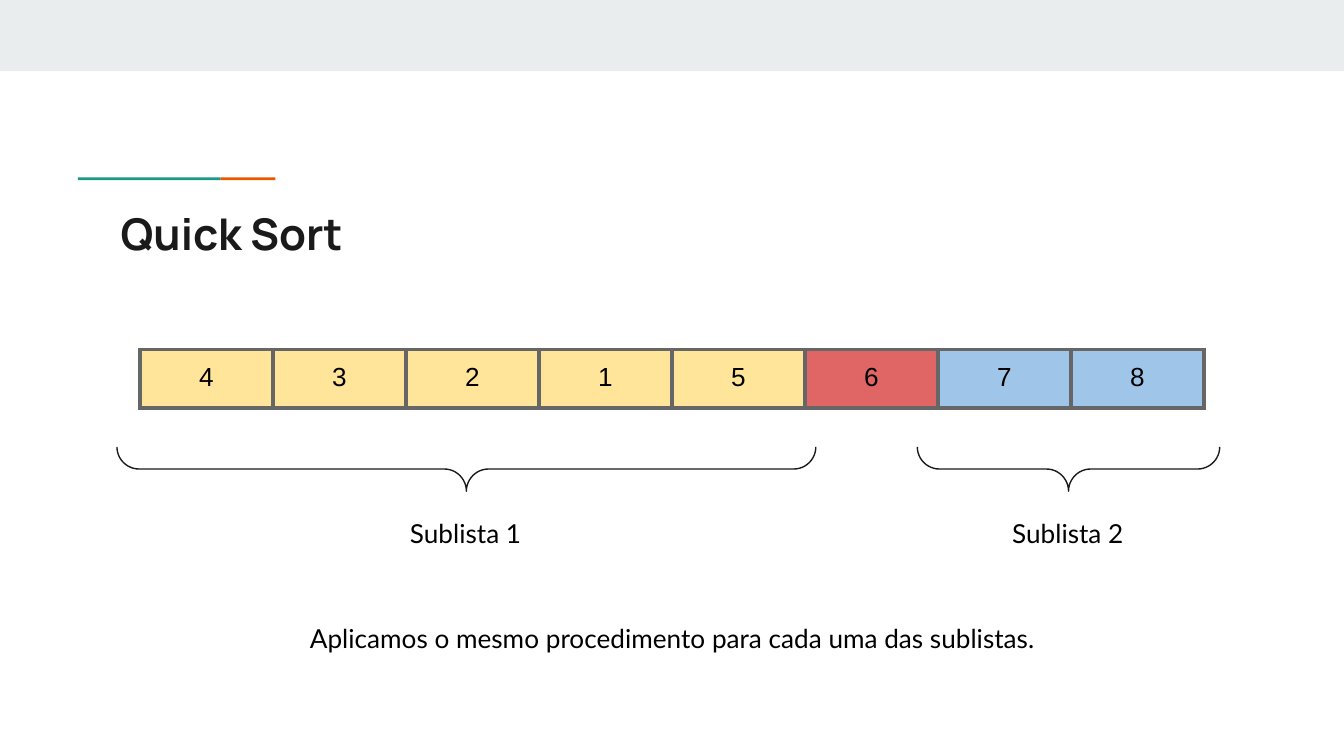
import pptx
import pptx.util
import pptx.dml.color
import pptx.enum.shapes
import pptx.enum.text
import pptx.oxml
import pptx.oxml.ns

Inches, Pt = pptx.util.Inches, pptx.util.Pt
RGB = pptx.dml.color.RGBColor
KIND = pptx.enum.shapes.MSO_SHAPE
ALIGN = pptx.enum.text.PP_ALIGN

BLACK, INK = RGB(0, 0, 0), RGB(0x1A, 0x1A, 0x1A)
GRAY, EDGE = RGB(0xE9, 0xED, 0xEE), RGB(0x66, 0x66, 0x66)
ORANGE, GREEN = RGB(0xEB, 0x56, 0x00), RGB(0x1A, 0x99, 0x88)
YELLOW, RED, BLUE = RGB(0xFF, 0xE5, 0x99), RGB(0xE0, 0x66, 0x66), RGB(0x9F, 0xC5, 0xE8)

BARS = [(0, 0, 10, 0.53, GRAY), (1.64, 1.32, 0.41, 0.02, ORANGE), (0.58, 1.32, 1.06, 0.02, GREEN)]
BODY = {"size": Pt(14), "name": "Lato", "bold": False}
HEAD = {"size": Pt(23.4), "name": "Manrope", "bold": True}
CELL = {"size": Pt(14), "name": "Arial", "bold": False}
TEXTS = [
    ("Quick Sort", (0.8, 1.44, 8.41, 0.59), HEAD, INK, ALIGN.LEFT),
    ("Aplicamos o mesmo procedimento para cada uma das sublistas.",
     (1.1, 4.53, 7.81, 0.44), BODY, BLACK, ALIGN.CENTER),
]
ITEMS = [(4, YELLOW), (3, YELLOW), (2, YELLOW), (1, YELLOW), (5, YELLOW),
         (6, RED), (7, BLUE), (8, BLUE)]
# name, centre, span
PARTS = [("Sublista 1", 3.47, 5.2), ("Sublista 2", 7.95, 2.25)]
COL, ROW = 0.99, 0.41
MID, DEPTH = 3.49, 0.33
SIDES = ("left", "right", "top", "bottom")


def inch(*nums):
    return [Inches(n) for n in nums]


def pad(thing):
    for side in SIDES:
        setattr(thing, "margin_" + side, Inches(0.1))


def write(frame, text, font, color, align):
    para = frame.paragraphs[0]
    para.alignment = align
    run = para.add_run()
    run.text = text
    for key, val in font.items():
        setattr(run.font, key, val)
    run.font.color.rgb = color


def label(text, box, font, color, align):
    frame = slide.shapes.add_textbox(*inch(*box)).text_frame
    frame.word_wrap = True
    pad(frame)
    write(frame, text, font, color, align)


def border(cell):
    props = cell._tc.get_or_add_tcPr()
    for spot, side in enumerate(("lnL", "lnR", "lnT", "lnB")):
        props.insert(spot, pptx.oxml.parse_xml(
            f'<a:{side} {pptx.oxml.ns.nsdecls("a")} w="{Pt(2.25)}">'
            f'<a:solidFill><a:srgbClr val="{EDGE}"/></a:solidFill></a:{side}>'))


deck = pptx.Presentation()
deck.slide_width = Inches(10)
deck.slide_height = deck.slide_width * 9 // 16
slide = deck.slides.add_slide(deck.slide_layouts[6])

for *box, color in BARS:
    bar = slide.shapes.add_shape(KIND.RECTANGLE, *inch(*box))
    bar.shadow.inherit = False
    bar.fill.solid()
    bar.fill.fore_color.rgb = color
    bar.line.fill.background()

for entry in TEXTS:
    label(*entry)

table = slide.shapes.add_table(1, len(ITEMS), *inch(1.04, 2.6, COL * len(ITEMS), ROW)).table
table.first_row = table.horz_banding = False
for spot, (value, color) in enumerate(ITEMS):
    table.columns[spot].width = Inches(COL)
    cell = table.cell(0, spot)
    pad(cell)
    write(cell.text_frame, str(value), CELL, BLACK, ALIGN.CENTER)
    cell.fill.solid()
    cell.fill.fore_color.rgb = color
    border(cell)

for name, center, span in PARTS:
    brace = slide.shapes.add_shape(
        KIND.RIGHT_BRACE, *inch(center - DEPTH / 2, MID - span / 2, DEPTH, span))
    brace.rotation = 90
    brace.adjustments[0] = brace.adjustments[1] = 0.5
    brace.shadow.inherit = False
    brace.fill.background()
    brace.line.color.rgb = INK
    brace.line.width = Pt(0.75)
    label(name, (center - 0.56, 3.75, 1.11, 0.44), BODY, BLACK, ALIGN.CENTER)

deck.save("out.pptx")
